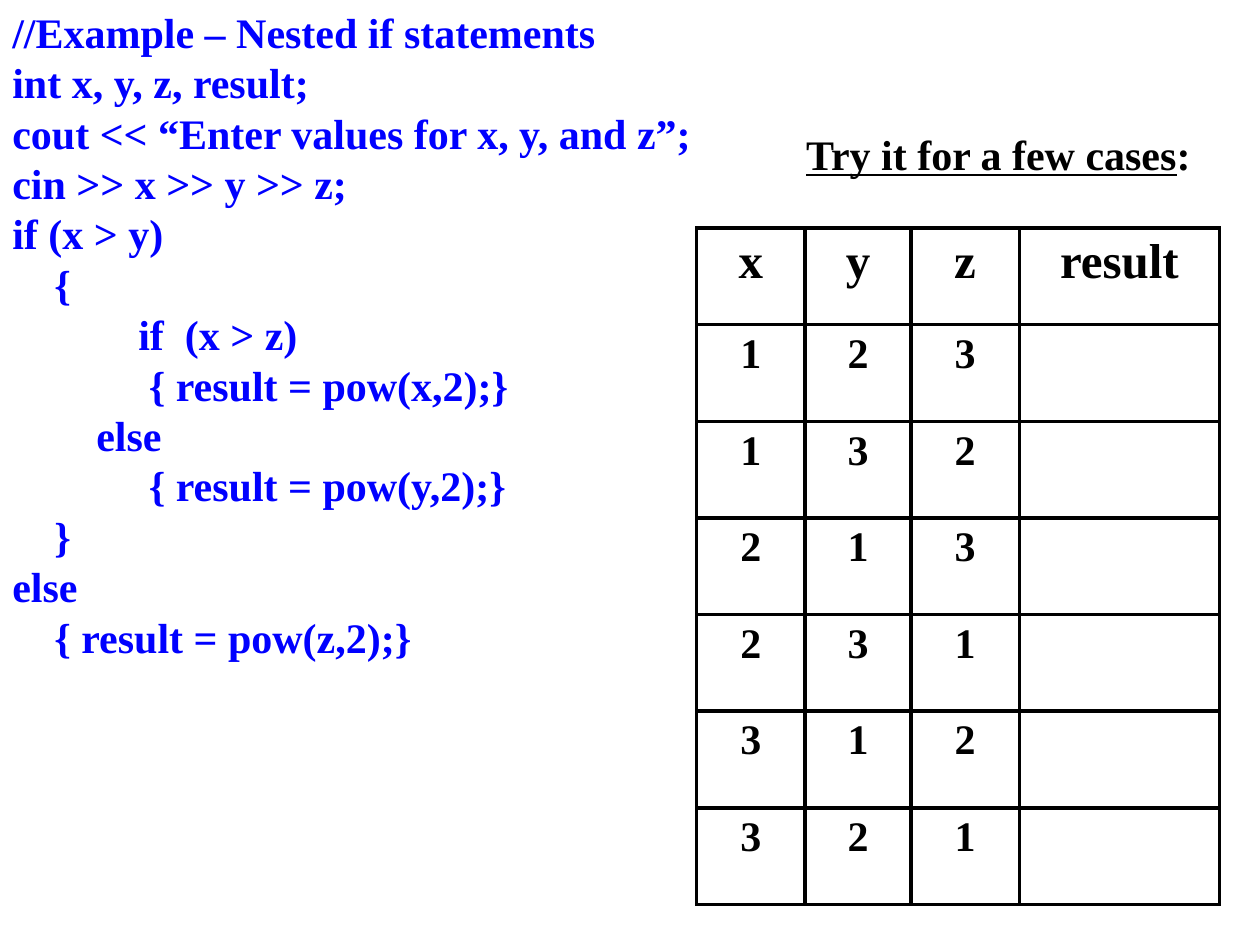
from itertools import permutations

from lxml import etree
from pptx import Presentation
from pptx.dml.color import RGBColor
from pptx.enum.text import PP_ALIGN
from pptx.oxml.ns import qn
from pptx.util import Inches, Pt

CENTER = PP_ALIGN.CENTER
BLUE, BLACK, WHITE = "0000FF", "000000", "FFFFFF"
SPACE_WIDTH = 1 / 12  # inches, one space at 24 points


def format_runs(paragraph, size, color):
    for run in paragraph.runs:
        run.font.name = "Times New Roman"
        run.font.size = Pt(size)
        run.font.bold = True
        run.font.color.rgb = RGBColor.from_string(color)


def add_borders(cell, width, color):
    properties = cell._tc.get_or_add_tcPr()
    for side in ("a:lnL", "a:lnR", "a:lnT", "a:lnB"):
        line = etree.SubElement(properties, qn(side), w=str(Pt(width)))
        fill = etree.SubElement(line, qn("a:solidFill"))
        etree.SubElement(fill, qn("a:srgbClr"), val=color)


presentation = Presentation()
presentation.slide_width = Inches(10)
presentation.slide_height = Inches(7.5)
slide = presentation.slides.add_slide(presentation.slide_layouts[6])

# Code listing: indent in spaces, then the line
code_lines = [
    (0, "//Example – Nested if statements"),
    (0, "int x, y, z, result;"),
    (0, "cout << “Enter values for x, y, and z”;"),
    (0, "cin >> x >> y >> z;"),
    (0, "if (x > y)"),
    (4, "{"),
    (12, "if  (x > z)"),
    (13, "{ result = pow(x,2);}"),
    (8, "else"),
    (13, "{ result = pow(y,2);}"),
    (4, "}"),
    (0, "else"),
    (4, "{ result = pow(z,2);}"),
]
code_box = slide.shapes.add_textbox(0, 0, Inches(5.86), Inches(5.35))
code_frame = code_box.text_frame
code_frame.text = "\n".join(line for _, line in code_lines)
for paragraph, (indent, _) in zip(code_frame.paragraphs, code_lines):
    paragraph._p.get_or_add_pPr().set("marL", str(Inches(indent * SPACE_WIDTH)))
    format_runs(paragraph, 24, BLUE)

# Table heading
heading_box = slide.shapes.add_textbox(Inches(6.3), Inches(0.97), Inches(3.39), Inches(0.51))
heading = heading_box.text_frame.paragraphs[0]
for text, underlined in (("Try it for a few cases", True), (":", False)):
    run = heading.add_run()
    run.text = text
    run.font.underline = underlined
format_runs(heading, 24, BLACK)

# Table of cases: every ordering of 1, 2, 3 with an empty result
rows = [("x", "y", "z", "result")]
rows += [(*case, "") for case in permutations("123")]
column_widths = [0.86, 0.84, 0.86, 1.59]
row_height = 0.767
table = slide.shapes.add_table(
    len(rows), len(column_widths), Inches(5.53), Inches(1.81),
    Inches(sum(column_widths)), Inches(row_height * len(rows)),
).table
table.horz_banding = False
for column, width in zip(table.columns, column_widths):
    column.width = Inches(width)
for row_index, values in enumerate(rows):
    for column_index, value in enumerate(values):
        cell = table.cell(row_index, column_index)
        add_borders(cell, 2.25, BLACK)
        cell.fill.solid()
        cell.fill.fore_color.rgb = RGBColor.from_string(WHITE)
        cell.text_frame.text = value
        paragraph = cell.text_frame.paragraphs[0]
        paragraph.alignment = CENTER
        format_runs(paragraph, 28 if row_index == 0 else 24, BLACK)

presentation.save("out.pptx")
